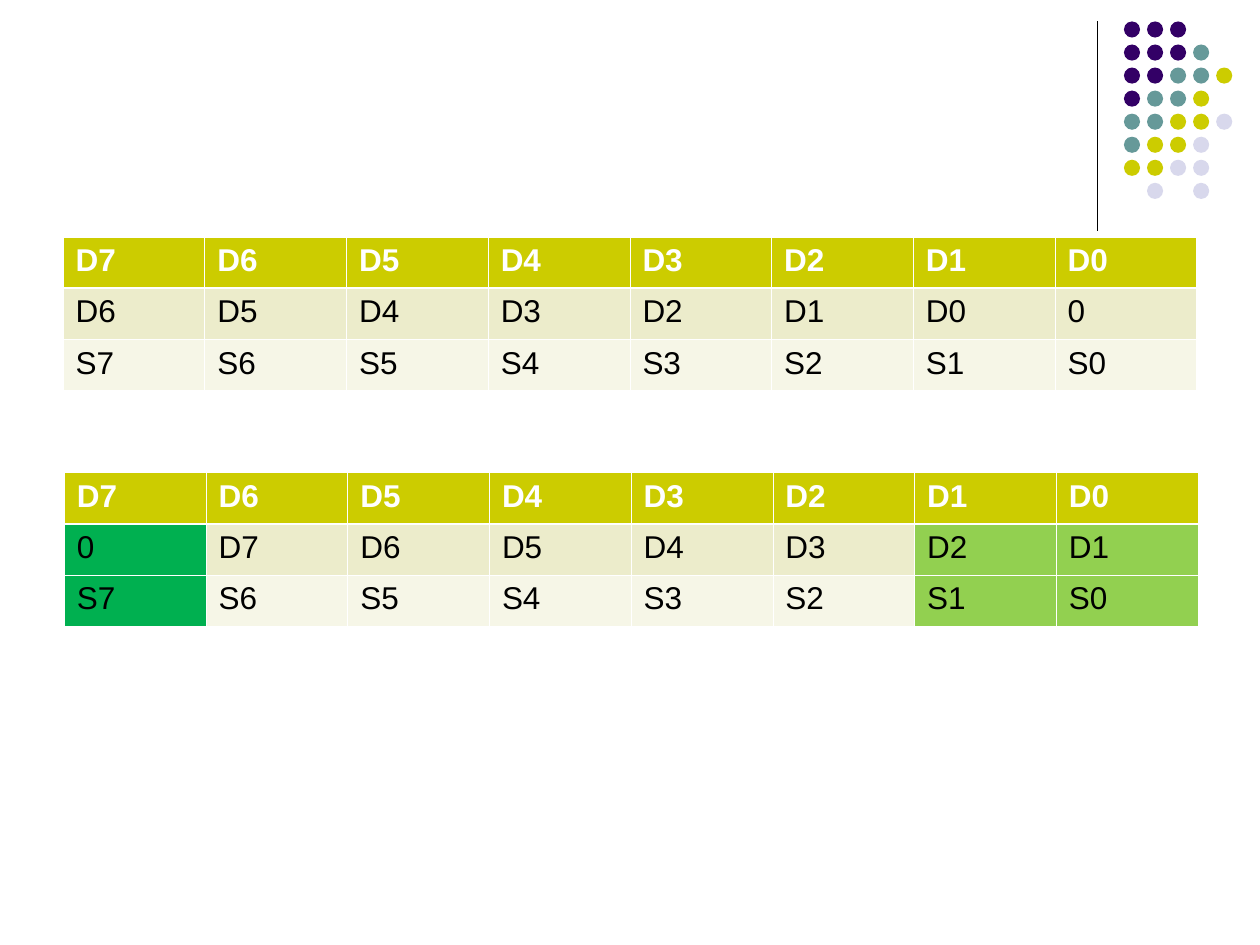
from dataclasses import dataclass

import pptx
import pptx.dml.color
import pptx.enum.shapes
import pptx.oxml
import pptx.oxml.ns
import pptx.util
from lxml import etree


@dataclass(frozen=True)
class Theme:
    font: str = "Arial"
    size: int = 18
    white: str = "FFFFFF"
    black: str = "000000"
    purple: str = "330066"
    teal: str = "669999"
    olive: str = "CCCC00"
    lavender: str = "D8D8EC"
    band: str = "ECECCB"
    pale: str = "F6F6E7"
    green: str = "00B050"
    lime: str = "92D050"
    thin: float = 0.45
    thick: float = 1.47
    rule: float = 0.75


def rgb(color):
    return pptx.dml.color.RGBColor.from_string(color)


class Deck:
    """Holds the theme and current slide; lengths are shares of the slide's size."""

    def __init__(self, theme, width=10, height=7.5):
        self.theme = theme
        self.prs = pptx.Presentation()
        self.prs.slide_width = pptx.util.Inches(width)
        self.prs.slide_height = pptx.util.Inches(height)
        self.s = self.prs.slides.add_slide(self.prs.slide_layouts[6])

    def x(self, share):
        return round(self.prs.slide_width * share)

    def y(self, share):
        return round(self.prs.slide_height * share)

    def vertical_rule(self, left, top, bottom):
        line = self.s.shapes.add_connector(
            pptx.enum.shapes.MSO_CONNECTOR.STRAIGHT,
            self.x(left), self.y(top), self.x(left), self.y(bottom))
        line.line.color.rgb = rgb(self.theme.black)
        line.line.width = pptx.util.Pt(self.theme.rule)
        etree.SubElement(line._element.spPr, pptx.oxml.ns.qn("a:effectLst"))

    def dot(self, left, top, diameter, color):
        """Draw a circle whose diameter is a share of the slide's width."""
        size = self.x(diameter)
        sp = self.s.shapes.add_shape(
            pptx.enum.shapes.MSO_SHAPE.OVAL, self.x(left), self.y(top), size, size)
        sp.shadow.inherit = False
        sp.fill.solid()
        sp.fill.fore_color.rgb = rgb(color)
        sp.line.fill.background()

    def dot_grid(self, left, top, pitch, diameter, pattern, colors):
        """Draw one dot per letter of the pattern; a space leaves a gap."""
        ratio = self.prs.slide_width / self.prs.slide_height
        for row, letters in enumerate(pattern):
            for col, letter in enumerate(letters):
                if letter != " ":
                    self.dot(left + col * pitch, top + row * pitch * ratio,
                             diameter, colors[letter])

    def table(self, left, top, width, height, rows, highlights):
        """Add a banded table; highlights maps a column to its body fill."""
        t = self.theme
        frame = self.s.shapes.add_table(
            len(rows), len(rows[0]), self.x(left), self.y(top),
            self.x(width), self.y(height))
        for i, row in enumerate(rows):
            band = (t.olive, t.band, t.pale)[i]
            for j, text in enumerate(row):
                fill = highlights.get(j, band) if i else band
                self.cell(frame.table.cell(i, j), text, fill, i)

    def cell(self, cell, text, fill, row):
        t = self.theme
        header = row == 0
        cell.text_frame.text = text
        font = cell.text_frame.paragraphs[0].runs[0].font
        font.name, font.size, font.bold = t.font, pptx.util.Pt(t.size), header
        font.color.rgb = rgb(t.white if header else t.black)
        self.border(cell, "L", t.thin)
        self.border(cell, "R", t.thin)
        self.border(cell, "T", t.thick if row == 1 else t.thin)
        self.border(cell, "B", t.thick if header else t.thin)
        cell.fill.solid()
        cell.fill.fore_color.rgb = rgb(fill)

    def border(self, cell, side, points):
        qn = pptx.oxml.ns.qn
        ln = etree.SubElement(cell._tc.get_or_add_tcPr(), qn(f"a:ln{side}"),
                              w=str(int(pptx.util.Pt(points))))
        solid = etree.SubElement(ln, qn("a:solidFill"))
        etree.SubElement(solid, qn("a:srgbClr"), val=self.theme.white)


def bits(letter):
    return [f"{letter}{n}" for n in range(7, -1, -1)]


def main():
    theme = Theme()
    deck = Deck(theme)
    deck.vertical_rule(left=0.871, top=0.17 / 7.5, bottom=1.83 / 7.5)

    colors = {"P": theme.purple, "T": theme.teal,
              "O": theme.olive, "L": theme.lavender}
    pattern = ["PPP", "PPPT", "PPTTO", "PTTO", "TTOOL", "TOOL", "OOLL", " L L"]
    deck.dot_grid(left=0.892, top=0.17 / 7.5, pitch=0.0183, diameter=0.0128,
                  pattern=pattern, colors=colors)

    data, result = bits("D"), bits("S")
    shifted_left = [data, data[1:] + ["0"], result]
    shifted_right = [data, ["0"] + data[:-1], result]
    size = {"width": 0.9, "height": 1.22 / 7.5}
    deck.table(left=0.05, top=1.88 / 7.5, rows=shifted_left, highlights={}, **size)
    deck.table(left=0.051, top=0.5, rows=shifted_right,
               highlights={0: theme.green, 6: theme.lime, 7: theme.lime}, **size)
    deck.prs.save("out.pptx")


if __name__ == "__main__":
    main()
